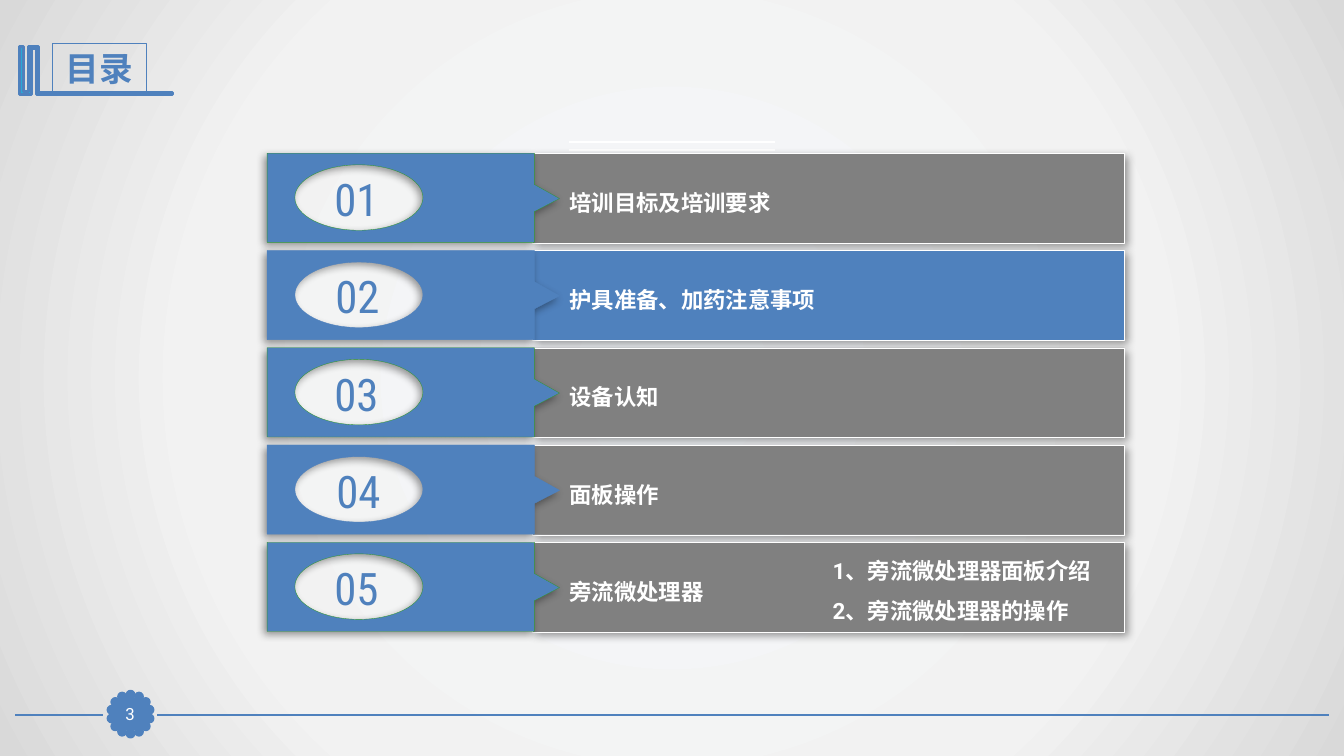
from lxml.etree import SubElement
from math import cos, pi, sin

from pptx import Presentation
from pptx.dml.color import RGBColor
from pptx.enum.shapes import MSO_CONNECTOR, MSO_SHAPE
from pptx.enum.text import MSO_ANCHOR, MSO_AUTO_SIZE, PP_ALIGN
from pptx.oxml import parse_xml
from pptx.oxml.ns import nsdecls, qn
from pptx.util import Inches, Pt

C = {"blue": "4F81BD", "cyan": "28A9D6", "grey": "808080", "green": "339933",
     "white": "FFFFFF", "bg_in": "F6F9FC", "bg_mid": "F2F2F2", "bg_out": "D9D9D9"}

prs = Presentation()
prs.slide_width, prs.slide_height = Inches(13.33), Inches(7.5)
U = prs.slide_width // 1333
s = prs.slides.add_slide(prs.slide_layouts[6])

stops = "".join(f'<a:gs pos="{pos}"><a:srgbClr val="{C[name]}"/></a:gs>'
                for pos, name in ((0, "bg_in"), (63000, "bg_mid"), (100000, "bg_out")))
s._element.cSld.insert(0, parse_xml(
    f'<p:bg {nsdecls("p", "a")}><p:bgPr><a:gradFill rotWithShape="1"><a:gsLst>{stops}</a:gsLst>'
    '<a:path path="circle"><a:fillToRect l="50000" t="50000" r="50000" b="50000"/></a:path>'
    '</a:gradFill><a:effectLst/></p:bgPr></p:bg>'))


def paint(sp, fill, line, width, shadow_angle=None):
    sp.shadow.inherit = False
    if fill:
        sp.fill.solid()
        sp.fill.fore_color.rgb = RGBColor.from_string(C[fill])
    else:
        sp.fill.background()
    sp.line.color.rgb = RGBColor.from_string(C[line])
    sp.line.width = Pt(width)
    if shadow_angle:
        effects = sp._element.spPr.find(qn("a:effectLst"))
        shadow = SubElement(effects, qn("a:outerShdw"), blurRad=str(Pt(6)), dist=str(Pt(3)),
                            dir=str(shadow_angle * 60000), algn="ctr", rotWithShape="0")
        black = SubElement(shadow, qn("a:srgbClr"), val="000000")
        SubElement(black, qn("a:alpha"), val="40000")


def write(sp, text, size, font, color, bold=False, centred=True):
    tf = sp.text_frame
    tf.word_wrap = True
    tf.auto_size = MSO_AUTO_SIZE.SHAPE_TO_FIT_TEXT
    tf.vertical_anchor = MSO_ANCHOR.MIDDLE if centred else MSO_ANCHOR.TOP
    p = tf.paragraphs[0]
    p.text = text
    p.alignment = PP_ALIGN.CENTER if centred else PP_ALIGN.LEFT
    p.font.size, p.font.name, p.font.bold = Pt(size), font, bold
    p.font.color.rgb = RGBColor.from_string(C[color])


for x1, x2, y, color, width in ((1318, 156, 709, "blue", 1.25), (102, 15, 709, "blue", 1.25),
                                (564, 769, 141, "white", 1.5), (564, 769, 149, "white", 1.5)):
    ln = s.shapes.add_connector(MSO_CONNECTOR.STRAIGHT, x1 * U, y * U, x2 * U, y * U)
    ln.line.color.rgb = RGBColor.from_string(C[color])
    ln.line.width = Pt(width)
    SubElement(ln._element.spPr, qn("a:effectLst"))

dots = 14
rosette = s.shapes.add_group_shape()
for i in range(dots):
    angle = 2 * pi * i / dots
    x, y = 126 + 19.3 * sin(angle), 705 - 19.3 * cos(angle)
    dot = rosette.shapes.add_shape(MSO_SHAPE.OVAL, round(x * U), round(y * U), 7 * U, 7 * U)
    paint(dot, "blue", "blue", 2)

fb = s.shapes.build_freeform(37, 46, scale=U)
fb.add_line_segments([(38, 46), (38, 92), (171, 92), (171, 94), (36, 94), (36, 48), (31, 48),
                      (31, 94), (19, 94), (19, 46), (23, 46), (23, 91), (28, 91), (28, 46)])
paint(fb.convert_to_shape(), "cyan", "blue", 2)

title = s.shapes.add_shape(MSO_SHAPE.RECTANGLE, 52 * U, 43 * U, 93 * U, 50 * U)
paint(title, None, "blue", 0.75)
write(title, "目录", 24, "Roboto Condensed", "blue", True)

badge = s.shapes.add_shape(MSO_SHAPE.RECTANGLE, 113 * U, 693 * U, 32 * U, 31 * U)
paint(badge, "blue", "blue", 0.75)
write(badge, "3", 12, "Roboto", "white")
tf = badge.text_frame
tf.auto_size = MSO_AUTO_SIZE.NONE
tf.margin_left = tf.margin_right = tf.margin_top = tf.margin_bottom = 0

oval = [("moveTo", [(910, 115)]),
        ("cubicBezTo", [(560, 115), (275, 260), (275, 440)]),
        ("cubicBezTo", [(275, 620), (560, 765), (910, 765)]),
        ("cubicBezTo", [(1260, 765), (1545, 620), (1545, 440)]),
        ("cubicBezTo", [(1545, 260), (1260, 115), (910, 115)]),
        ("close", [])]
tab = [(2650, 0), (5300, 0), (5300, 310), (5550, 450), (5300, 580), (5300, 885), (2650, 885)]

topics = [("培训目标及培训要求", 303), ("护具准备、加药注意事项", 304), ("设备认知", 303),
          ("面板操作", 305), ("旁流微处理器", 303)]
for i, (topic, number_x) in enumerate(topics):
    top = 152 + 96.5 * i
    row = s.shapes.add_group_shape()
    bar = row.shapes.add_shape(MSO_SHAPE.RECTANGLE, 528 * U, round(top * U), 587 * U, 89 * U)
    paint(bar, "blue" if i == 1 else "grey", "white", 0.25, 45)

    outline = [(x, top * 10 + y) for x, y in tab]
    fb = row.shapes.build_freeform(*outline[0], scale=U / 10)
    fb.add_line_segments(outline[1:])
    card = fb.convert_to_shape()
    contour = next(card._element.iter(qn("a:path")))
    for k, (command, points) in enumerate(oval):
        step = contour.makeelement(qn(f"a:{command}"))
        for x, y in points:
            SubElement(step, qn("a:pt"), x=str(x), y=str(y))
        contour.insert(k, step)
    paint(card, "blue", "blue" if i % 2 else "green", 0.25, 135)

    number = row.shapes.add_textbox(number_x * U, round((top + 13) * U), 101 * U, 64 * U)
    write(number, f"{i + 1:02}", 32, "Roboto Condensed", "blue")
    label = row.shapes.add_textbox(555 * U, round((top + 30.5) * U), 561 * U, 37 * U)
    write(label, topic, 16, "Roboto", "white", True, False)

for y, step_text in ((548, "1、旁流微处理器面板介绍"), (588, "2、旁流微处理器的操作")):
    label = s.shapes.add_textbox(816 * U, y * U, 517 * U, 37 * U)
    write(label, step_text, 16, "Roboto", "white", True, False)

prs.save("out.pptx")
